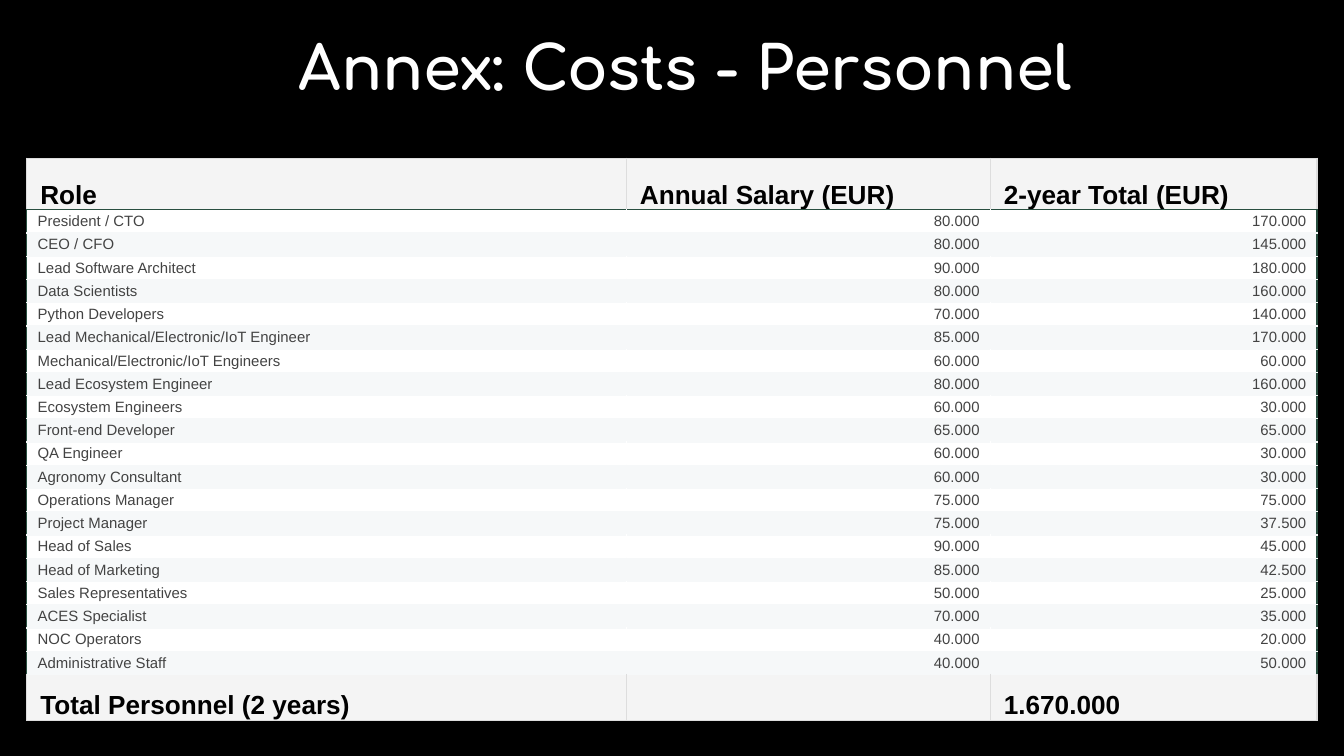
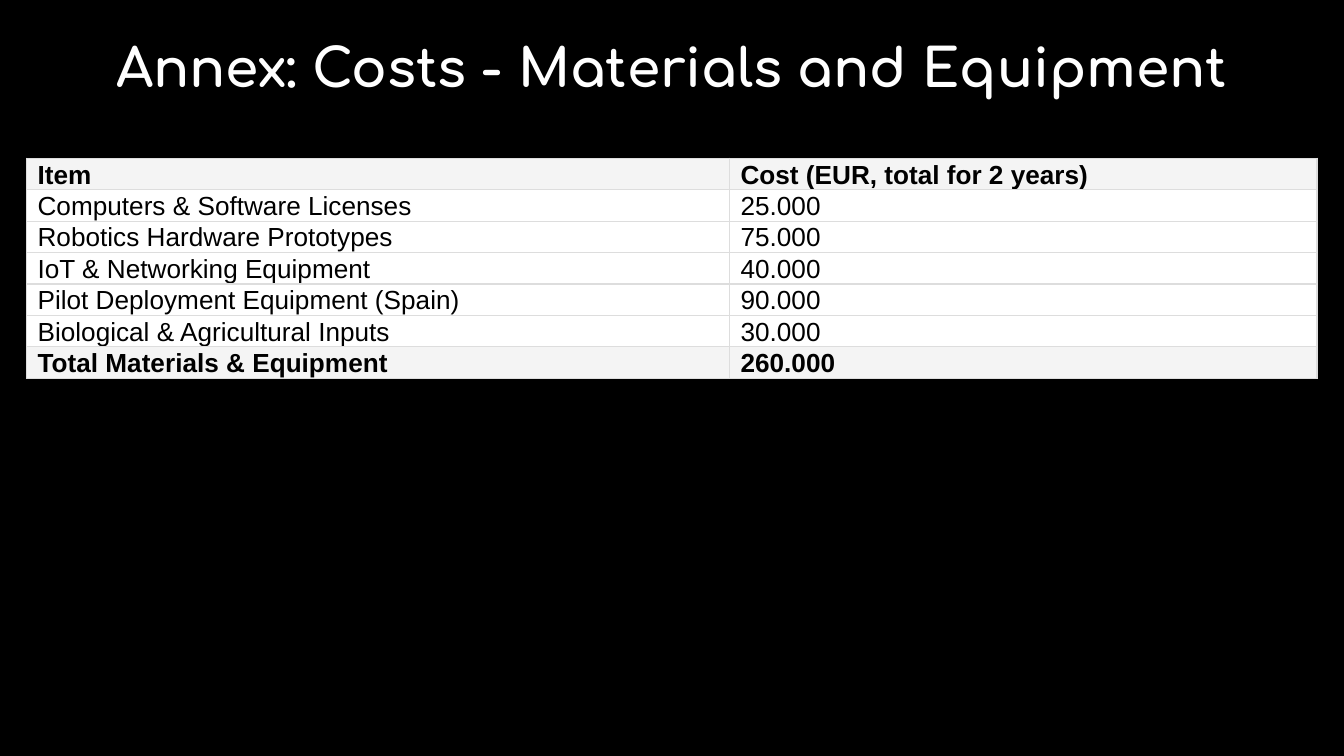
from lxml.etree import SubElement
from pptx import Presentation
from pptx.dml.color import RGBColor
from pptx.enum.text import MSO_ANCHOR, PP_ALIGN
from pptx.oxml.ns import qn
from pptx.util import Pt

BLACK, WHITE, TEXT = "000000", "FFFFFF", "434343"
HEADER, BAND, GRID, GREEN = "F4F4F4", "F6F8F9", "DDDDDD", "284E3F"
SIDES = ("lnL", "lnR", "lnT", "lnB")

PERSONNEL = [
    ("Role", "Annual Salary (EUR)", "2-year Total (EUR)"),
    ("President / CTO", "80.000", "170.000"),
    ("CEO / CFO", "80.000", "145.000"),
    ("Lead Software Architect", "90.000", "180.000"),
    ("Data Scientists", "80.000", "160.000"),
    ("Python Developers", "70.000", "140.000"),
    ("Lead Mechanical/Electronic/IoT Engineer", "85.000", "170.000"),
    ("Mechanical/Electronic/IoT Engineers", "60.000", "60.000"),
    ("Lead Ecosystem Engineer", "80.000", "160.000"),
    ("Ecosystem Engineers", "60.000", "30.000"),
    ("Front-end Developer", "65.000", "65.000"),
    ("QA Engineer", "60.000", "30.000"),
    ("Agronomy Consultant", "60.000", "30.000"),
    ("Operations Manager", "75.000", "75.000"),
    ("Project Manager", "75.000", "37.500"),
    ("Head of Sales", "90.000", "45.000"),
    ("Head of Marketing", "85.000", "42.500"),
    ("Sales Representatives", "50.000", "25.000"),
    ("ACES Specialist", "70.000", "35.000"),
    ("NOC Operators", "40.000", "20.000"),
    ("Administrative Staff", "40.000", "50.000"),
    ("Total Personnel (2 years)", "", "1.670.000"),
]
MATERIALS = [
    ("Item", "Cost (EUR, total for 2 years)"),
    ("Computers & Software Licenses", "25.000"),
    ("Robotics Hardware Prototypes", "75.000"),
    ("IoT & Networking Equipment", "40.000"),
    ("Pilot Deployment Equipment (Spain)", "90.000"),
    ("Biological & Agricultural Inputs", "30.000"),
    ("Total Materials & Equipment", "260.000"),
]


def color(value):
    return RGBColor.from_string(value)


def write(frame, text, *, size=14, font="Arial", fill=BLACK, bold=False, align=PP_ALIGN.LEFT):
    para = frame.paragraphs[0]
    para.alignment = align
    if text:
        span = para.add_run()
        span.text = text
        span.font.size = Pt(size)
        span.font.name = font
        span.font.bold = bold
        span.font.color.rgb = color(fill)


def set_borders(cell, colors):
    properties = cell._tc.get_or_add_tcPr()
    for side, value in zip(SIDES, colors):
        line = SubElement(properties, qn(f"a:{side}"), w=str(Pt(0.75)))
        SubElement(SubElement(line, qn("a:solidFill")), qn("a:srgbClr"), val=value)


def personnel_style(row, column):
    last_row, last_column = len(PERSONNEL) - 1, len(PERSONNEL[0]) - 1
    if row in (0, last_row):
        top, bottom = (GRID, GREEN) if row == 0 else (BAND, GRID)
        return dict(fill=HEADER, borders=(GRID, GRID, top, bottom), margins=(7.2, 0, 0, 0),
                    anchor=MSO_ANCHOR.BOTTOM, text=dict(bold=True))
    fill = WHITE if row % 2 else BAND
    borders = (GREEN if column == 0 else fill, GREEN if column == last_column else fill,
               GREEN if row == 1 else BAND, BAND)
    align = PP_ALIGN.RIGHT if column else PP_ALIGN.LEFT
    return dict(fill=fill, borders=borders, margins=(5.76, 1.44, 5.76, 1.44),
                anchor=MSO_ANCHOR.MIDDLE, text=dict(size=8, fill=TEXT, align=align))


def materials_style(row, column):
    strong = row in (0, len(MATERIALS) - 1)
    return dict(fill=HEADER if strong else WHITE, borders=(GRID,) * 4, margins=(5.76, 0, 0, 0),
                anchor=MSO_ANCHOR.BOTTOM, text=dict(bold=strong))


class CostDeck:
    def __init__(self):
        self.deck = Presentation()
        self.deck.slide_width, self.deck.slide_height = Pt(720), Pt(405)
        self.page = None

    def add_page(self):
        self.page = self.deck.slides.add_slide(self.deck.slide_layouts[6])
        background = self.page.background.fill
        background.solid()
        background.fore_color.rgb = color(BLACK)

    def add_title(self, text, left, width, size):
        box = self.page.shapes.add_textbox(Pt(left), Pt(14.4), Pt(width), Pt(42.5))
        frame = box.text_frame
        frame.word_wrap = True
        frame.vertical_anchor = MSO_ANCHOR.MIDDLE
        write(frame, text, size=size, font="Comfortaa", fill=WHITE, bold=True,
              align=PP_ALIGN.CENTER)

    def add_table(self, data, widths, heights, style):
        table = self.page.shapes.add_table(len(data), len(widths), Pt(14.4), Pt(84.8),
                                           Pt(sum(widths)), Pt(sum(heights))).table
        table.first_row = table.horz_banding = False
        for column, width in zip(table.columns, widths):
            column.width = Pt(width)
        for row, height in zip(table.rows, heights):
            row.height = Pt(height)
        for row, values in enumerate(data):
            for column, value in enumerate(values):
                self.fill_cell(table.cell(row, column), value, **style(row, column))

    def fill_cell(self, cell, value, fill, borders, margins, anchor, text):
        set_borders(cell, borders)
        cell.fill.solid()
        cell.fill.fore_color.rgb = color(fill)
        (cell.margin_left, cell.margin_top,
         cell.margin_right, cell.margin_bottom) = map(Pt, margins)
        cell.vertical_anchor = anchor
        write(cell.text_frame, value, **text)


def main():
    costs = CostDeck()
    costs.add_page()
    costs.add_title("Annex: Costs - Personnel", 14.4, 705.6, 32.4)
    costs.add_table(PERSONNEL, (321.2, 195, 175), (27.6, *[8] * 20, 24.6), personnel_style)

    costs.add_page()
    costs.add_title("Annex: Costs - Materials and Equipment", 0, 720, 28.4)
    costs.add_table(MATERIALS, (376.6, 314.6), [8] * len(MATERIALS), materials_style)
    costs.deck.save("out.pptx")


if __name__ == "__main__":
    main()
